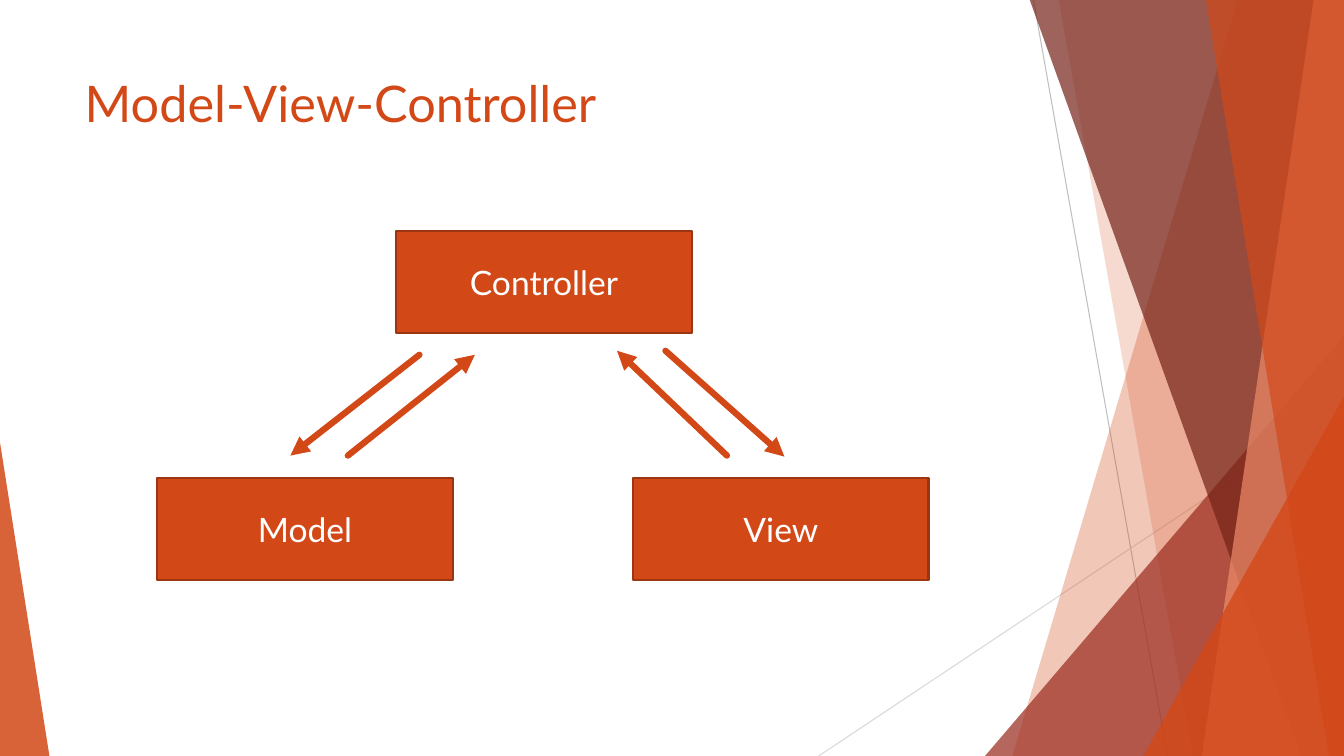
import pptx
import pptx.util
import pptx.dml.color
import pptx.enum.shapes
import pptx.enum.text
import pptx.oxml
import pptx.oxml.ns

Inches, Pt = pptx.util.Inches, pptx.util.Pt
RGBColor = pptx.dml.color.RGBColor
MSO_SHAPE = pptx.enum.shapes.MSO_SHAPE
MSO_ANCHOR = pptx.enum.text.MSO_ANCHOR
PP_ALIGN = pptx.enum.text.PP_ALIGN

ORANGE = RGBColor(0xD3, 0x48, 0x17)
DARK_ORANGE = RGBColor(0x9C, 0x35, 0x11)
RUST = RGBColor(0x9B, 0x2D, 0x1F)
MAROON = RGBColor(0x74, 0x22, 0x17)
SALMON = RGBColor(0xEF, 0x8C, 0x6A)
GRAY = RGBColor(0xBF, 0xBF, 0xBF)
LIGHT_GRAY = RGBColor(0xD9, 0xD9, 0xD9)
WHITE = RGBColor(0xFF, 0xFF, 0xFF)

WIDTH, HEIGHT = 13.33, 7.5
FACET_TOP = -0.01
BOX_W, BOX_H = 2.93, 1.01

TITLE = "Model-View-Controller"
BOXES = [("Controller", 3.93, 2.29), ("Model", 1.56, 4.74), ("View", 6.28, 4.74)]
ARROWS = [
    (4.16, 3.52, 2.88, 4.52),
    (6.6, 3.48, 7.78, 4.53),
    (3.45, 4.52, 4.71, 3.52),
    (7.21, 4.52, 6.12, 3.48),
]
RAYS = [(10.25, 0, 11.58, HEIGHT, GRAY), (WIDTH, 4.03, 8.12, HEIGHT, LIGHT_GRAY)]
FACETS = [
    ("band", 12.28, 10.04, ORANGE, 30),
    ("band", 10.5, 11.83, ORANGE, 20),
    ("corner", 9.77, 3.56, 4.17, 1, RUST, 72),
    ("band", 10.21, 12.91, MAROON, 70),
    ("band", 13.03, 11.92, SALMON, 70),
    ("band", 11.96, 13.18, ORANGE, 65),
    ("corner", 11.34, 1.99, 3.57, 1, ORANGE, 80),
    ("corner", 0, 0.49, 3.11, 0, ORANGE, 85),
]


def write(tf, text, size, color, align=PP_ALIGN.LEFT, anchor=MSO_ANCHOR.TOP):
    tf.word_wrap = True
    tf.vertical_anchor = anchor
    p = tf.paragraphs[0]
    p.alignment = align
    r = p.add_run()
    r.text = text
    r.font.name = "Lato"
    r.font.size = Pt(size)
    r.font.color.rgb = color


def paint(sp, color, opacity=100):
    sp.shadow.inherit = False
    sp.fill.solid()
    sp.fill.fore_color.rgb = color
    sp.line.fill.background()
    if opacity < 100:
        clr = sp._element.spPr.find(".//" + pptx.oxml.ns.qn("a:srgbClr"))
        alpha = pptx.oxml.parse_xml(
            f'<a:alpha {pptx.oxml.ns.nsdecls("a")} val="{opacity * 1000}"/>')
        clr.append(alpha)


def add_band(s, top_x, bottom_x, color, opacity):
    points = [(WIDTH, FACET_TOP), (WIDTH, HEIGHT), (bottom_x, HEIGHT)]
    fb = s.shapes.build_freeform(Inches(top_x), Inches(FACET_TOP))
    fb.add_line_segments([(Inches(x), Inches(y)) for x, y in points], close=True)
    paint(fb.convert_to_shape(), color, opacity)


def add_corner(s, x, w, h, apex, color, opacity):
    sp = s.shapes.add_shape(MSO_SHAPE.ISOSCELES_TRIANGLE, Inches(x),
                            Inches(HEIGHT - h), Inches(w), Inches(h))
    sp.adjustments[0] = apex
    paint(sp, color, opacity)


def add_line(s, x1, y1, x2, y2, color, width, arrow=False):
    cx = s.shapes.add_connector(pptx.enum.shapes.MSO_CONNECTOR.STRAIGHT,
                                Inches(x1), Inches(y1), Inches(x2), Inches(y2))
    cx.line.color.rgb = color
    cx.line.width = Pt(width)
    ns = pptx.oxml.ns.nsdecls("a")
    if arrow:
        ln = cx.line._get_or_add_ln()
        ln.set("cap", "rnd")
        ln.append(pptx.oxml.parse_xml(f'<a:tailEnd {ns} type="triangle"/>'))
    cx._element.spPr.append(pptx.oxml.parse_xml(f"<a:effectLst {ns}/>"))


def add_box(s, label, x, y):
    sp = s.shapes.add_shape(MSO_SHAPE.RECTANGLE, Inches(x), Inches(y),
                            Inches(BOX_W), Inches(BOX_H))
    paint(sp, ORANGE)
    sp.line.color.rgb = DARK_ORANGE
    sp.line.width = Pt(1.5)
    write(sp.text_frame, label, 24, WHITE, align=PP_ALIGN.CENTER,
          anchor=MSO_ANCHOR.MIDDLE)


def main():
    prs = pptx.Presentation()
    prs.slide_width, prs.slide_height = Inches(WIDTH), Inches(HEIGHT)
    s = prs.slides.add_slide(prs.slide_layouts[5])

    for ray in RAYS:
        add_line(s, *ray, 0.75)
    for kind, *facet in FACETS:
        (add_band if kind == "band" else add_corner)(s, *facet)

    title = s.shapes.title
    title.left, title.top = Inches(0.74), Inches(0.67)
    title.width, title.height = Inches(9.4), Inches(1.44)
    write(title.text_frame, TITLE, 36, ORANGE)

    for box in BOXES:
        add_box(s, *box)
    for arrow in ARROWS:
        add_line(s, *arrow, ORANGE, 4.5, arrow=True)

    prs.save("out.pptx")


if __name__ == "__main__":
    main()
